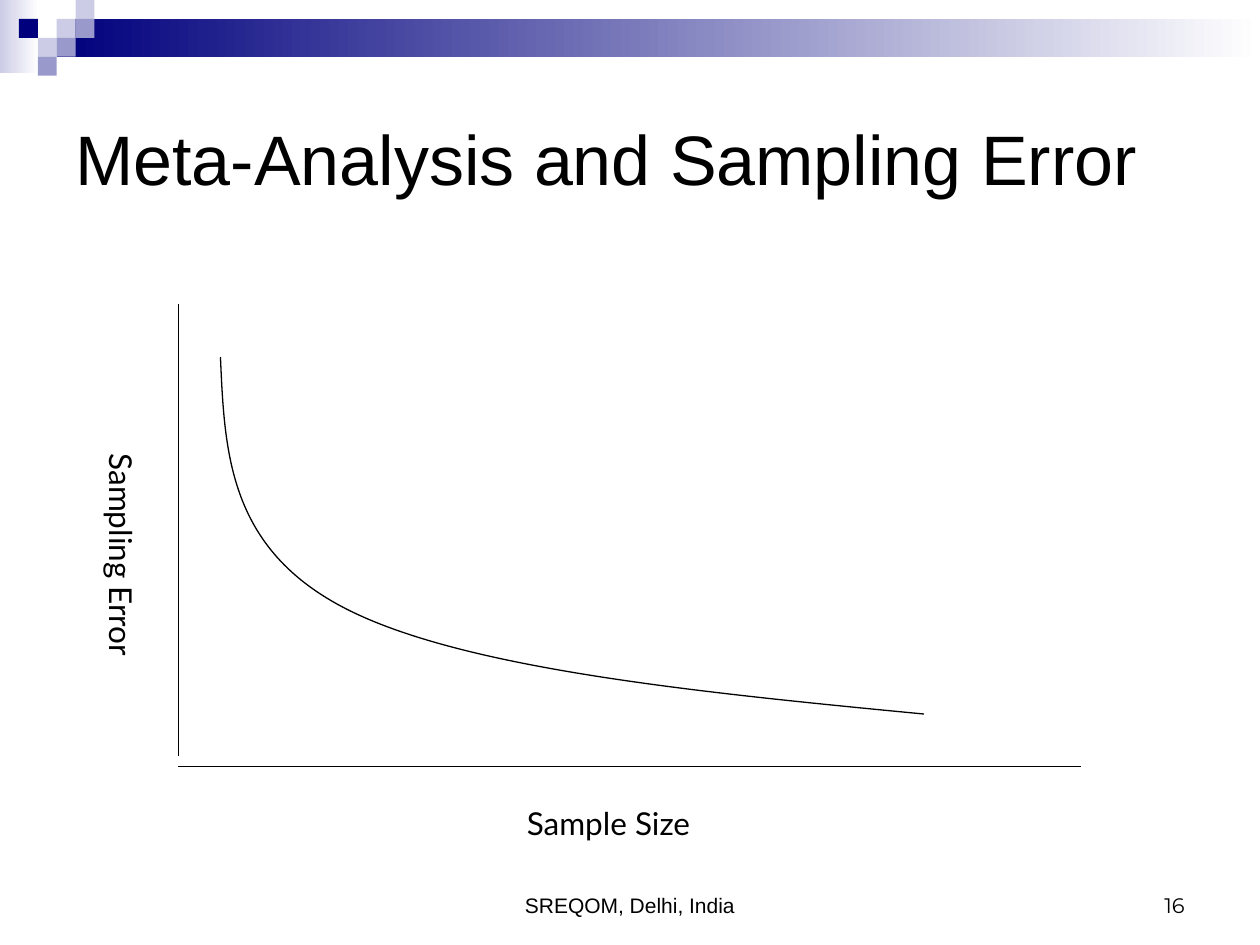
from lxml import etree
from pptx import Presentation
from pptx import util as u
from pptx.dml.color import RGBColor
from pptx.enum import shapes as s, text as t
from pptx.oxml.ns import qn

PX = 7620  # 120 px to the inch
BLACK, WHITE, NAVY, LILAC, PALE = "000000", "FFFFFF", "00007D", "9999CC", "CCCCE6"

# Header decoration: box, then left colour of a fade to white
BANDS = [((0, 0, 37, 70), PALE), ((54, 18, 1146, 36), NAVY)]
TILE = 18
TILES = [  # column, row, colour
    (3, 1, PALE), (4, 0, PALE), (4, 1, LILAC), (2, 2, PALE),
    (1, 1, NAVY), (3, 2, LILAC), (2, 3, LILAC),
]

# Axes: from, to
AXES = [((170, 290), (170, 720)), ((170, 730), (1030, 730))]
# Start point, then two controls and an end point for each segment
CURVE = [(210, 340), (214, 432), (218, 523), (330, 580),
         (442, 637), (661, 659), (880, 680)]

LEFT, CENTER, RIGHT = t.PP_ALIGN.LEFT, t.PP_ALIGN.CENTER, t.PP_ALIGN.RIGHT
TOP, MIDDLE, BOTTOM = t.MSO_ANCHOR.TOP, t.MSO_ANCHOR.MIDDLE, t.MSO_ANCHOR.BOTTOM
TEXTS = [  # wording, box, font, size, alignment, anchor, space before, vertical
    ("Meta-Analysis and Sampling Error", (60, 60, 1080, 180), "Arial", 40, LEFT, MIDDLE, 0, False),
    ("Sample Size", (490, 760, 310, 48), "Lato", 18, LEFT, TOP, 11.2, False),
    ("Sampling Error", (80, 420, 60, 264), "Lato", 18, CENTER, TOP, 11.2, True),
    ("SREQOM, Delhi, India", (410, 820, 380, 60), "Arial", 12, CENTER, BOTTOM, 0, False),
    ("16", (860, 820, 280, 60), "Montserrat", 12, RIGHT, BOTTOM, 0, False),
]


def emu(lengths):
    return [length * PX for length in lengths]


def color(value):
    return RGBColor.from_string(value)


def add_rectangle(slide, box):
    shape = slide.shapes.add_shape(s.MSO_SHAPE.RECTANGLE, *emu(box))
    shape.shadow.inherit = False
    shape.line.fill.background()
    return shape


def add_band(slide, box, start):
    fill = add_rectangle(slide, box).fill
    fill.gradient()
    fill.gradient_angle = 0
    for stop, value in zip(fill.gradient_stops, (start, WHITE)):
        stop.color.rgb = color(value)


def add_tile(slide, column, row, value):
    fill = add_rectangle(slide, (column * TILE, row * TILE, TILE, TILE)).fill
    fill.solid()
    fill.fore_color.rgb = color(value)


def set_line(shape):
    shape.line.color.rgb = color(BLACK)
    shape.line.width = u.Pt(0.75)


def add_axis(slide, start, end):
    axis = slide.shapes.add_connector(s.MSO_CONNECTOR.STRAIGHT, *emu(start + end))
    set_line(axis)
    etree.SubElement(axis.element.spPr, qn("a:effectLst"))


def add_curve(slide, points):
    builder = slide.shapes.build_freeform(*points[0], scale=PX)
    builder.add_line_segments(points[1:], close=False)
    curve = builder.convert_to_shape()
    curve.shadow.inherit = False
    curve.fill.background()
    set_line(curve)
    # Merge every three line points into one Bézier segment
    outline = curve.element.spPr.find(".//" + qn("a:path"))
    lines = outline.findall(qn("a:lnTo"))
    for first in range(0, len(lines), 3):
        segment = etree.SubElement(outline, qn("a:cubicBezTo"))
        for line in lines[first:first + 3]:
            segment.append(line[0])
            outline.remove(line)


def add_text(slide, wording, box, font, size, alignment, anchor, before, vertical):
    frame = slide.shapes.add_textbox(*emu(box)).text_frame
    frame.word_wrap = True
    frame.vertical_anchor = anchor
    if vertical:
        frame.margin_left = frame.margin_right = u.Inches(0.05)
        frame.margin_top = frame.margin_bottom = u.Inches(0.1)
        frame._txBody.bodyPr.set("vert", "eaVert")
    frame.text = wording
    paragraph = frame.paragraphs[0]
    paragraph.alignment = alignment
    paragraph.space_before = u.Pt(before)
    run_font = paragraph.runs[0].font
    run_font.name = font
    run_font.size = u.Pt(size)
    run_font.color.rgb = color(BLACK)


def main():
    presentation = Presentation()
    presentation.slide_width, presentation.slide_height = emu((1200, 900))
    slide = presentation.slides.add_slide(presentation.slide_layouts[6])

    # Header
    for band in BANDS:
        add_band(slide, *band)
    for tile in TILES:
        add_tile(slide, *tile)

    # Diagram
    for axis in AXES:
        add_axis(slide, *axis)
    add_curve(slide, CURVE)

    # Title, axis labels and footer
    for item in TEXTS:
        add_text(slide, *item)

    presentation.save("out.pptx")


if __name__ == "__main__":
    main()
